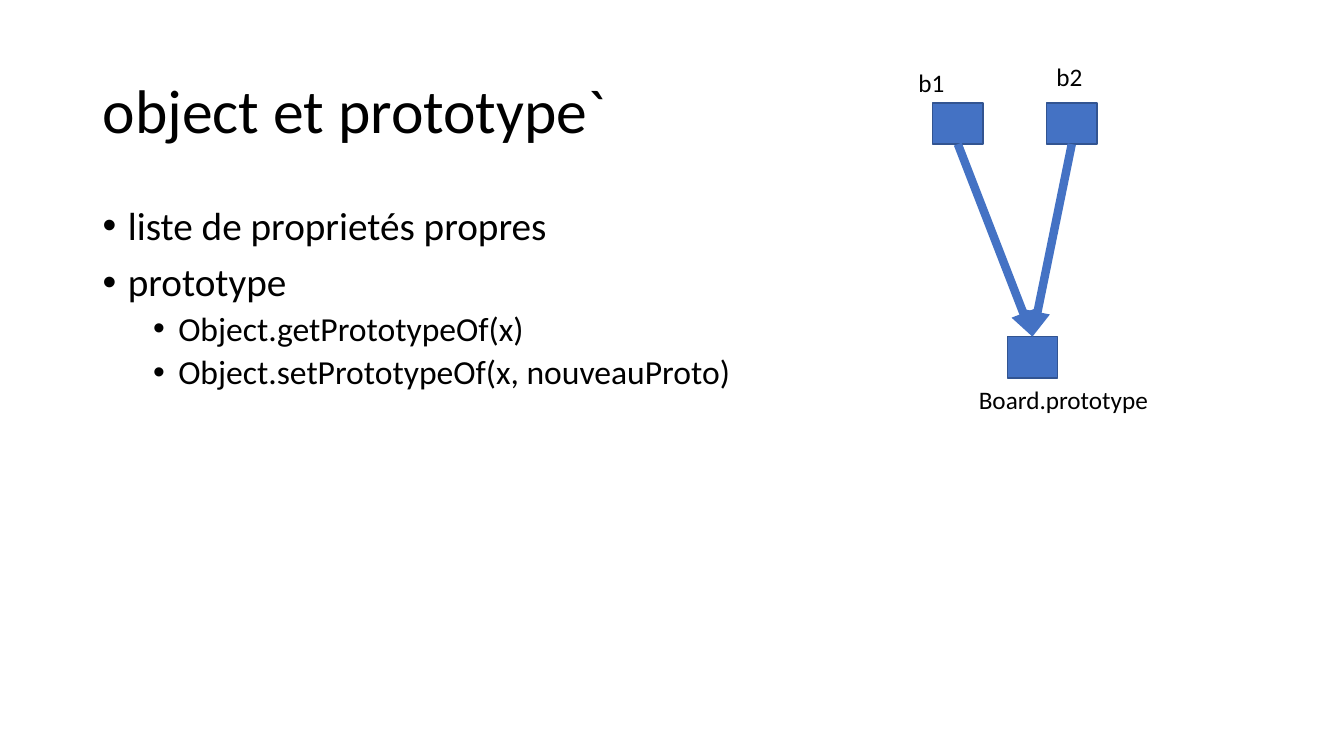
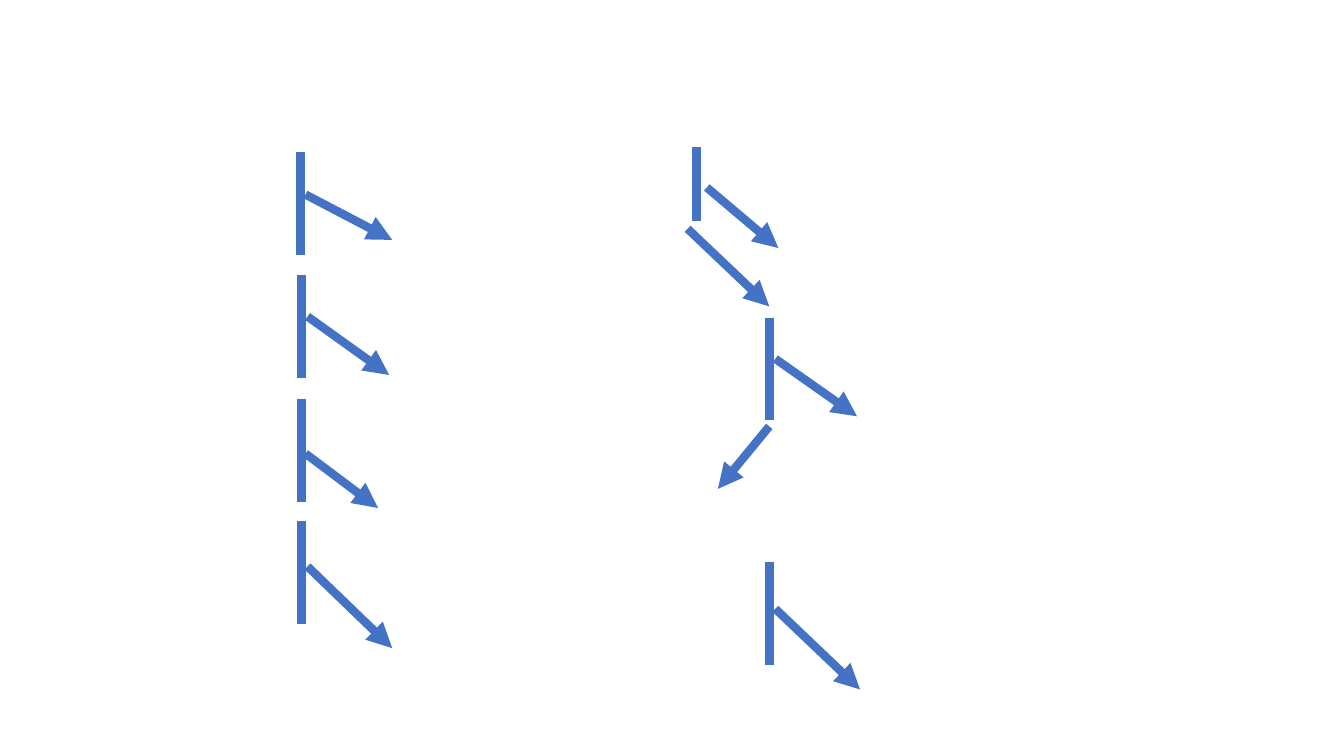
from dataclasses import dataclass

from lxml.etree import SubElement as sub
from pptx import Presentation
from pptx.dml.color import RGBColor as RGB
from pptx.enum.shapes import MSO_CONNECTOR as LINK, MSO_SHAPE as SHAPE
from pptx.enum.text import MSO_ANCHOR as ANCHOR
from pptx.oxml.ns import qn
from pptx.util import Inches, Pt


@dataclass(frozen=True)
class Theme:
    font: str = "Calibri"
    ink: RGB = RGB(0x00, 0x00, 0x00)
    blue: RGB = RGB(0x44, 0x72, 0xC4)
    edge: RGB = RGB(0x32, 0x54, 0x91)
    title: int = 44
    levels: tuple = (28, 24)
    label: int = 18
    stroke: int = 6
    thin: int = 1


class Deck:
    def __init__(self, theme):
        self.theme = theme
        self.prs = Presentation()
        self.prs.slide_width = Inches(13.33)
        self.prs.slide_height = Inches(7.5)
        self.slide = None

    def page(self):
        self.slide = self.prs.slides.add_slide(self.prs.slide_layouts[6])

    def frame(self, x, y, w, h, wrap=True):
        box = self.slide.shapes.add_textbox(*map(Inches, (x, y, w, h)))
        box.text_frame.word_wrap = wrap
        return box.text_frame

    def style(self, para, size):
        for run in para.runs:
            run.font.name = self.theme.font
            run.font.size = Pt(size)
            run.font.color.rgb = self.theme.ink

    def title(self, text):
        frame = self.frame(0.92, 0.4, 7.4, 1.45)
        frame.vertical_anchor = ANCHOR.MIDDLE
        frame.text = text
        para = frame.paragraphs[0]
        para.line_spacing = 0.9
        self.style(para, self.theme.title)

    def bullets(self, items):
        """Write (level, text) pairs as a bulleted list."""
        frame = self.frame(0.92, 2, 11.5, 4.76)
        frame.text = "\n".join(text for _, text in items)
        for para, (level, _) in zip(frame.paragraphs, items):
            para.level = level
            para.line_spacing = 0.9
            para.space_before = Pt(5 if level else 10)
            self.style(para, self.theme.levels[level])
            props = para._p.get_or_add_pPr()
            props.set("marL", str(Inches(0.25 + 0.5 * level)))
            props.set("indent", str(Inches(-0.25)))
            sub(props, qn("a:buFont"), typeface="Arial")
            sub(props, qn("a:buChar"), char="•")

    def label(self, text, x, y, w):
        frame = self.frame(x, y, w, 0.4, wrap=False)
        frame.text = text
        self.style(frame.paragraphs[0], self.theme.label)

    def box(self, x, y):
        box = self.slide.shapes.add_shape(
            SHAPE.RECTANGLE, *map(Inches, (x, y, 0.5, 0.41)))
        box.shadow.inherit = False
        box.fill.solid()
        box.fill.fore_color.rgb = self.theme.blue
        box.line.color.rgb = self.theme.edge
        box.line.width = Pt(self.theme.thin)
        return box

    def line(self, x1, y1, x2, y2, head=False):
        link = self.slide.shapes.add_connector(
            LINK.STRAIGHT, *map(Inches, (x1, y1, x2, y2)))
        link.line.color.rgb = self.theme.blue
        link.line.width = Pt(self.theme.stroke)
        props = link._element.spPr
        if head:
            sub(props.find(qn("a:ln")), qn("a:tailEnd"), type="triangle")
        sub(props, qn("a:effectLst"))
        return link

    def join(self, start, end):
        """Draw an arrow from the bottom of one box to the top of another."""
        link = self.line(0, 0, 1, 1, head=True)
        link.begin_connect(start, 2)
        link.end_connect(end, 0)

    def bar(self, x, y, h=1.02):
        self.line(x, y, x, y + h)

    def arrow(self, *ends):
        self.line(*ends, head=True)


def objects(deck):
    deck.page()
    deck.title("object et prototype`")
    deck.bullets([
        (0, "liste de proprietés propres"),
        (0, "prototype"),
        (1, "Object.getPrototypeOf(x)"),
        (1, "Object.setPrototypeOf(x, nouveauProto)"),
    ])
    proto = deck.box(9.99, 3.34)
    for x in (9.25, 10.38):
        deck.join(deck.box(x, 1.02), proto)
    deck.label("b1", 9.01, 0.62, 0.46)
    deck.label("b2", 10.38, 0.56, 0.46)
    deck.label("Board.prototype", 9.61, 3.76, 1.9)


def arrows(deck):
    deck.page()
    for x, y in ((2.98, 1.51), (2.99, 2.73), (2.99, 3.96), (2.99, 5.17),
                 (7.63, 3.15), (7.63, 5.58)):
        deck.bar(x, y)
    deck.bar(6.91, 1.46, 0.73)

    left = ((3.03, 1.93, 3.89, 2.38), (3.05, 3.14, 3.86, 3.72),
            (3.03, 4.5, 3.75, 5.04), (3.05, 5.62, 3.89, 6.43))
    right = ((6.82, 2.27, 7.63, 3.04), (7.01, 1.86, 7.72, 2.46),
             (7.69, 3.56, 8.5, 4.13), (7.63, 4.23, 7.12, 4.85),
             (7.69, 6.04, 8.53, 6.84))
    for ends in left + right:
        deck.arrow(*ends)


def main():
    deck = Deck(Theme())
    objects(deck)
    arrows(deck)
    deck.prs.save("out.pptx")


if __name__ == "__main__":
    main()
